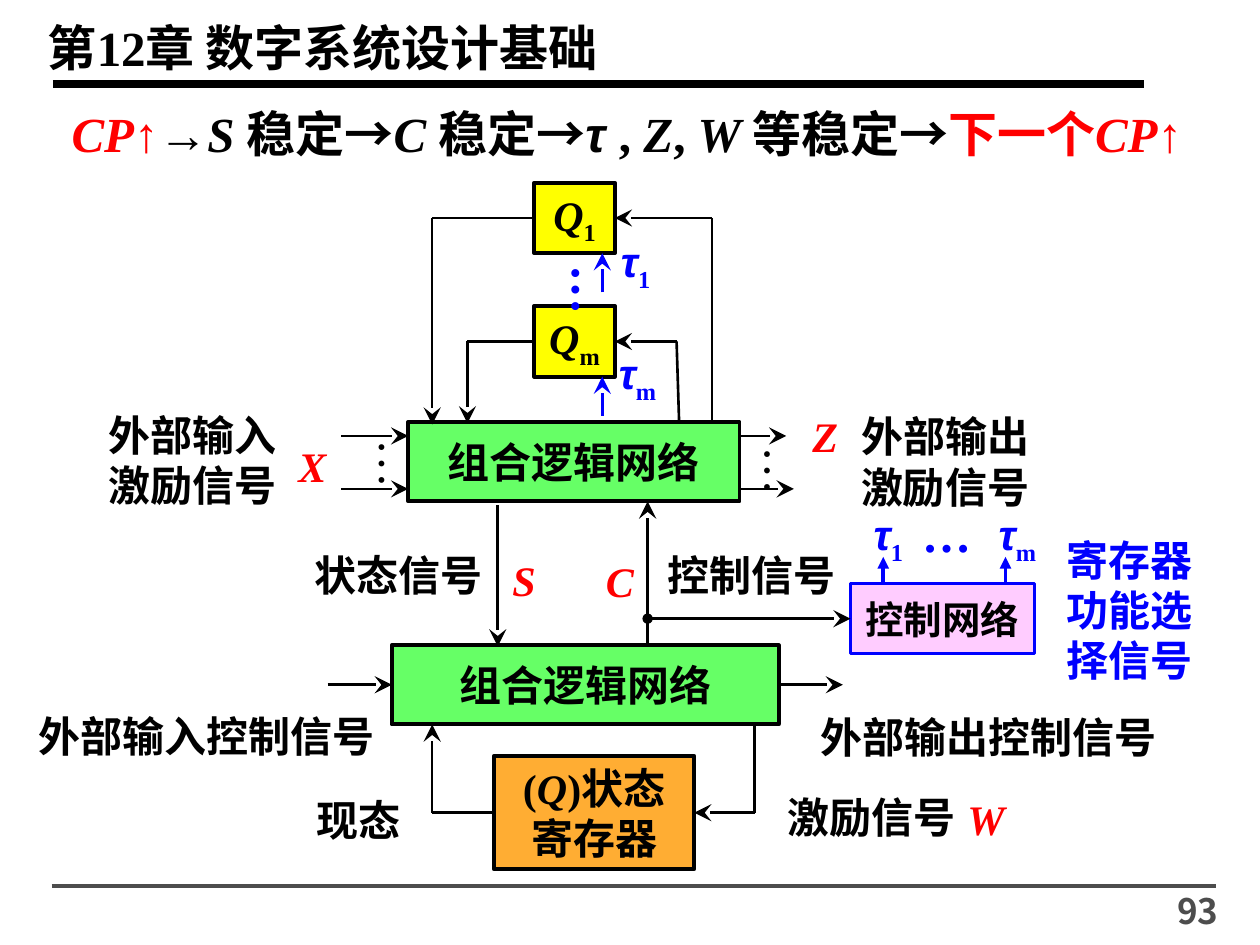
from dataclasses import dataclass
from itertools import pairwise

from lxml.etree import SubElement
from pptx import Presentation
from pptx.dml.color import RGBColor
from pptx.enum.shapes import MSO_CONNECTOR, MSO_SHAPE
from pptx.enum.text import MSO_ANCHOR, MSO_AUTO_SIZE, PP_ALIGN
from pptx.oxml.ns import qn
from pptx.util import Inches, Pt

BLACK = RGBColor(0x00, 0x00, 0x00)
RED = RGBColor(0xFF, 0x00, 0x00)
BLUE = RGBColor(0x00, 0x00, 0xFF)
GRAY = RGBColor(0x4D, 0x4D, 0x4D)
GREEN = RGBColor(0x66, 0xFF, 0x66)
YELLOW = RGBColor(0xFF, 0xFF, 0x00)
PINK = RGBColor(0xFF, 0xCC, 0xFF)
ORANGE = RGBColor(0xFF, 0x99, 0x00)

SERIF, SANS, CJK = "Times New Roman", "Arial", "Noto Sans CJK SC"
WIDTH, HEIGHT = Inches(10), Inches(7.5)
COLUMN, ROW = WIDTH / 100, HEIGHT / 75
LEFT, RIGHT = 1, 3
HEAD_SIZES = {"stealth": "lg", "triangle": "med", "oval": "med"}
Point = tuple[float, float]
Area = tuple[float, float, float, float]
Margins = tuple[float, float]
PLAIN: Margins = (1, 0.5)
FLUSH: Margins = (0, 0.5)


@dataclass(frozen=True)
class Run:
    text: str
    color: RGBColor | None = None
    italic: bool | None = None
    font: str | None = None
    subscript: bool = False


@dataclass(frozen=True)
class Label:
    paragraphs: tuple[tuple[Run, ...], ...]
    area: Area
    color: RGBColor = BLACK
    size: float = 24
    bold: bool = True
    italic: bool | None = None
    font: str = SERIF
    align: PP_ALIGN = PP_ALIGN.CENTER
    margins: Margins = PLAIN
    wrap: bool = True
    vertical: bool = False
    spacing: float | None = None


@dataclass(frozen=True)
class Block:
    label: Label
    fill: RGBColor
    line: RGBColor = BLACK
    weight: float = 2.25
    opacity: int = 100


@dataclass(frozen=True)
class Route:
    points: tuple[Point, ...]
    tail: str | None = "stealth"
    head: str | None = None
    color: RGBColor = BLACK
    weight: float = 1.5
    begin: tuple[str, int] | None = None
    end: tuple[str, int] | None = None


def words(*lines: str) -> tuple[tuple[Run, ...], ...]:
    return tuple((Run(line),) for line in lines)


def indexed(letter: str, index: str, font: str | None = None) -> tuple[tuple[Run, ...], ...]:
    return ((Run(letter, italic=True, font=font), Run(index, subscript=True)),)


def tau(index: str, area: Area) -> Label:
    return Label(indexed("τ", index, SANS), area, BLUE)


def signal(letter: str, left: float, top: float) -> Label:
    return Label(words(letter), (left, top, 4.6, 5), RED, italic=True)


def dots(area: Area, color: RGBColor, vertical: bool = True, wrap: bool = True) -> Label:
    return Label(words("…"), area, color, 28, color == BLUE, vertical=vertical, wrap=wrap,
                 align=PP_ALIGN.LEFT, margins=(0.5, 1) if vertical else PLAIN)


def block(paragraphs, area: Area, fill: RGBColor, size: float = 24,
          margins: Margins = FLUSH, wrap: bool = True, **outline) -> Block:
    return Block(Label(paragraphs, area, size=size, margins=margins, wrap=wrap), fill, **outline)


def place(area: Area) -> tuple[int, int, int, int]:
    left, top, width, height = area
    return round(left * COLUMN), round(top * ROW), round(width * COLUMN), round(height * ROW)


def write(frame, label: Label) -> None:
    side, edge = label.margins
    frame.margin_left = frame.margin_right = round(side * COLUMN)
    frame.margin_top = frame.margin_bottom = round(edge * ROW)
    frame.auto_size = MSO_AUTO_SIZE.NONE
    frame.word_wrap = label.wrap
    if label.vertical:
        frame._txBody.bodyPr.set("vert", "eaVert")
    for number, runs in enumerate(label.paragraphs):
        paragraph = frame.add_paragraph() if number else frame.paragraphs[0]
        paragraph.alignment = label.align
        if label.spacing:
            paragraph.line_spacing = label.spacing
        font = paragraph.font
        font.name, font.size, font.bold, font.italic = label.font, Pt(label.size), label.bold, label.italic
        font.color.rgb = label.color
        for part in runs:
            run = paragraph.add_run()
            run.text = part.text
            run.font.italic = part.italic
            if part.font:
                run.font.name = part.font
            if part.color is not None:
                run.font.color.rgb = part.color
            if part.subscript:
                run._r.get_or_add_rPr().set("baseline", "-25000")


def draw_label(slide, label: Label) -> None:
    write(slide.shapes.add_textbox(*place(label.area)).text_frame, label)


def draw_block(slide, item: Block):
    shape = slide.shapes.add_shape(MSO_SHAPE.RECTANGLE, *place(item.label.area))
    shape.shadow.inherit = False
    shape.fill.solid()
    shape.fill.fore_color.rgb = item.fill
    if item.opacity < 100:
        color = shape._element.spPr.find(qn("a:solidFill"))[0]
        SubElement(color, qn("a:alpha"), val=str(item.opacity * 1000))
    shape.line.color.rgb = item.line
    shape.line.width = Pt(item.weight)
    shape.text_frame.vertical_anchor = MSO_ANCHOR.MIDDLE
    write(shape.text_frame, item.label)
    return shape


def add_head(outline, tag: str, kind: str) -> None:
    size = HEAD_SIZES[kind]
    SubElement(outline, qn(tag), type=kind, w=size, len=size)


def draw_route(slide, route: Route, blocks: dict) -> None:
    segments = list(pairwise(route.points))
    for number, (start, stop) in enumerate(segments):
        first, last = number == 0, number == len(segments) - 1
        wire = slide.shapes.add_connector(MSO_CONNECTOR.STRAIGHT, *place((*start, *stop)))
        if first and route.begin:
            wire.begin_connect(blocks[route.begin[0]], route.begin[1])
        if last and route.end:
            wire.end_connect(blocks[route.end[0]], route.end[1])
        wire.line.color.rgb = route.color
        wire.line.width = Pt(route.weight)
        outline = wire.line._get_or_add_ln()
        if first and route.head:
            add_head(outline, "a:headEnd", route.head)
        if last and route.tail:
            add_head(outline, "a:tailEnd", route.tail)
        SubElement(wire._element.spPr, qn("a:effectLst"))


TITLE = Label(words("第12章 数字系统设计基础"), (2.8, 0.9, 62.4, 5.7), size=28, align=PP_ALIGN.LEFT)
SEQUENCE = Label(((
    Run("CP", RED, True), Run("↑", RED, font=SANS), Run("→"), Run("S ", italic=True), Run("稳定→"),
    Run("C ", italic=True), Run("稳定→"), Run("τ ", italic=True, font=SANS), Run(", "),
    Run("Z", italic=True), Run(", "), Run("W ", italic=True), Run("等稳定→"), Run("下一个", RED),
    Run("CP", RED, True), Run("↑", RED, font=SANS)),),
    (4.7, 6.8, 94.4, 12.2), size=28, align=PP_ALIGN.LEFT, spacing=1.2)

BLOCKS = {
    "datapath": block(words("组合逻辑网络"), (32.4, 33.5, 26.3, 6.3), GREEN),
    "Qm": block(indexed("Q", "m"), (42.4, 24.3, 6.4, 5.6), YELLOW, margins=PLAIN, wrap=False),
    "Q1": block(indexed("Q", "1"), (42.4, 14.5, 6.4, 5.6), YELLOW, margins=PLAIN, wrap=False),
    "control": block(words("控制网络"), (67.5, 46.3, 14.6, 5.6), PINK, 22, line=BLUE, weight=1.5),
    "controller": block(words("组合逻辑网络"), (31.1, 51.2, 30.7, 6.3), GREEN),
    "register": block(((Run("("), Run("Q", italic=True), Run(")状态寄存器")),),
                      (39.2, 60, 15.9, 9), ORANGE, margins=PLAIN, opacity=80),
}

ROUTES = [
    Route(((4.2, 6.7), (90.8, 6.7)), None, weight=4.5),
    Route(((4.1, 70.3), (96.5, 70.3)), None, color=GRAY, weight=2),
    *(Route(((47.8, low), (47.8, low - 3.1)), color=BLUE, weight=1.75) for low in (33, 23.2)),
    *(Route(((x, 46.4), (x, 44.2)), "triangle", color=BLUE, weight=2.25) for x in (70.1, 79.8)),
    Route(((53.9, 33.5), (53.7, 27.1), (48.8, 27.1)), end=("Qm", RIGHT)),
    Route(((56.5, 33.3), (56.5, 17.3), (48.8, 17.3)), end=("Q1", RIGHT)),
    Route(((42.4, 27.1), (37.1, 27.1), (37.1, 33.6)), begin=("Qm", LEFT)),
    Route(((42.4, 17.3), (34.3, 17.3), (34.3, 33.7)), begin=("Q1", LEFT)),
    *(Route(((27.1, y), (32.4, y))) for y in (34.6, 38.8)),
    Route(((58.8, 34.6), (62.4, 34.6))),
    Route(((58.8, 38.8), (63, 38.8))),
    Route(((39.5, 40.1), (39.5, 51.3))),
    Route(((51.4, 51.2), (51.4, 39.8))),
    Route(((51.4, 49.1), (67.5, 49.1)), head="oval", end=("control", LEFT)),
    Route(((26, 54.35), (31.1, 54.35)), end=("controller", LEFT)),
    Route(((61.8, 54.35), (66.9, 54.35)), begin=("controller", RIGHT)),
    Route(((39.2, 64.5), (34.3, 64.5), (34.3, 57.5)), begin=("register", LEFT)),
    Route(((59.9, 57.4), (59.9, 64.5), (55.1, 64.5)), end=("register", RIGHT)),
]

LABELS = [
    SEQUENCE,
    Label(words("控制信号"), (52.5, 43.1, 14.3, 5), margins=FLUSH),
    Label(words("状态信号"), (22.7, 43.1, 17.8, 5)),
    Label(words("外部输入", "激励信号"), (7.5, 32, 15.5, 9)),
    Label(words("外部输出激励信号"), (67.4, 32.6, 15.2, 4), margins=(0, 0)),
    Label(words("外部输入控制信号"), (1.9, 55.9, 28.9, 5)),
    Label(words("外部输出控制信号"), (61.9, 56, 33.1, 5)),
    Label(words("现态"), (23.2, 62.6, 10.5, 5)),
    Label(words("激励信号"), (60.4, 62.3, 17.5, 5)),
    Label(words("寄存器功能选择信号"), (83.6, 41.9, 12.1, 13), BLUE),
    dots((27.9, 33.9, 6.6, 4.9), BLACK, wrap=False),
    dots((58.5, 34.4, 6.6, 4.9), BLACK),
    dots((43.2, 20.1, 6.6, 4.9), BLUE),
    dots((72.2, 39.5, 5.9, 5.7), BLUE, vertical=False, wrap=False),
    tau("m", (46.6, 27.1, 8, 5.6)),
    tau("1", (47.1, 18.2, 6.7, 5.6)),
    tau("m", (76.8, 39.9, 7.9, 5.6)),
    tau("1", (67.4, 39.9, 6.2, 5.6)),
    signal("S", 39.3, 43.5),
    signal("C", 46.9, 43.6),
    signal("X", 22.5, 34.5),
    signal("Z", 63.2, 32.1),
    signal("W", 75.8, 62.5),
    Label(words("93"), (83.8, 70.1, 13.9, 3.9), GRAY, 20, font=CJK, align=PP_ALIGN.RIGHT),
]


def main() -> None:
    deck = Presentation()
    deck.slide_width, deck.slide_height = WIDTH, HEIGHT
    slide = deck.slides.add_slide(deck.slide_layouts[5])
    heading = slide.shapes.title
    heading.left, heading.top, heading.width, heading.height = place(TITLE.area)
    heading.text_frame.vertical_anchor = MSO_ANCHOR.TOP
    write(heading.text_frame, TITLE)
    blocks = {name: draw_block(slide, item) for name, item in BLOCKS.items()}
    for route in ROUTES:
        draw_route(slide, route, blocks)
    for label in LABELS:
        draw_label(slide, label)
    deck.save("out.pptx")


if __name__ == "__main__":
    main()
